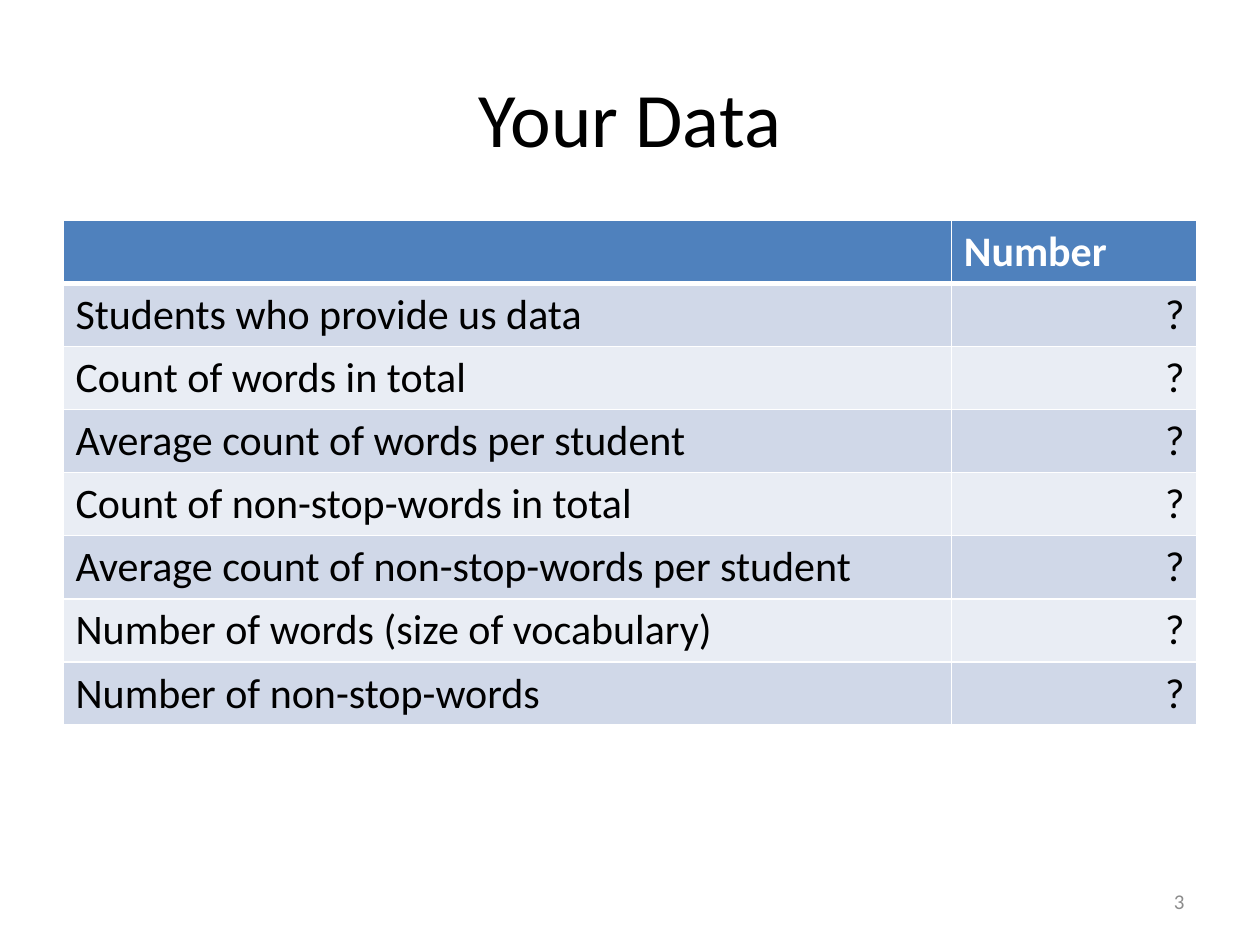
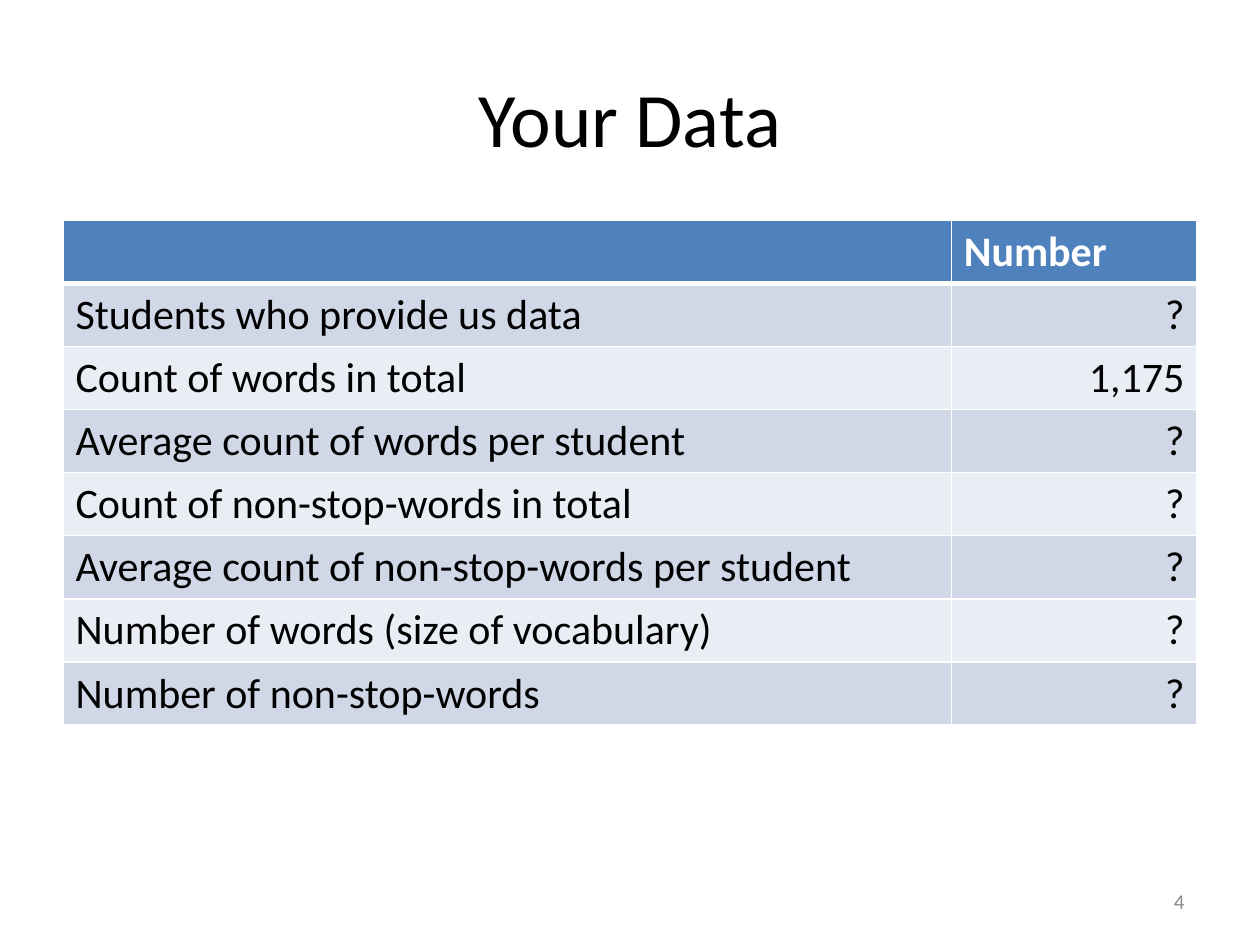
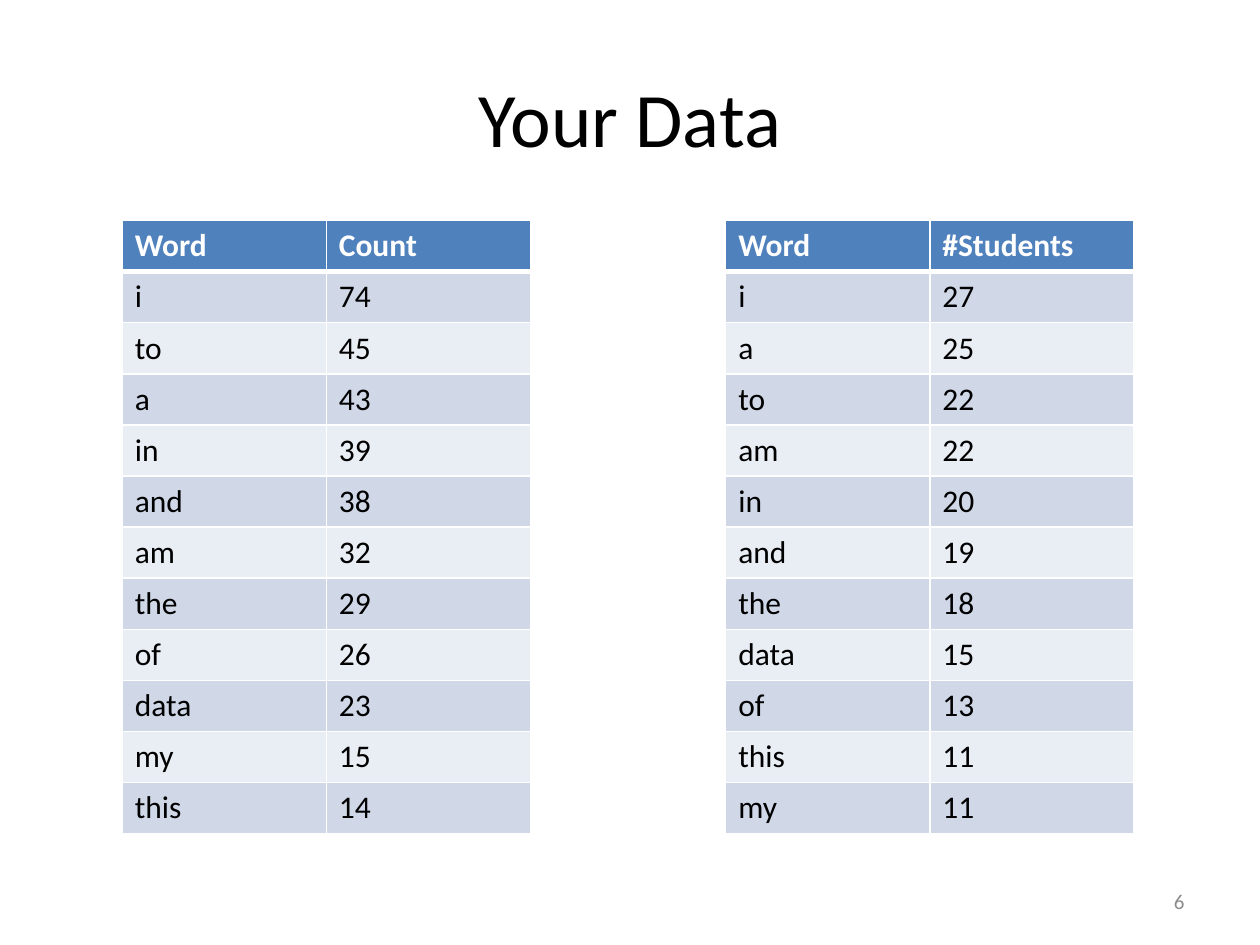
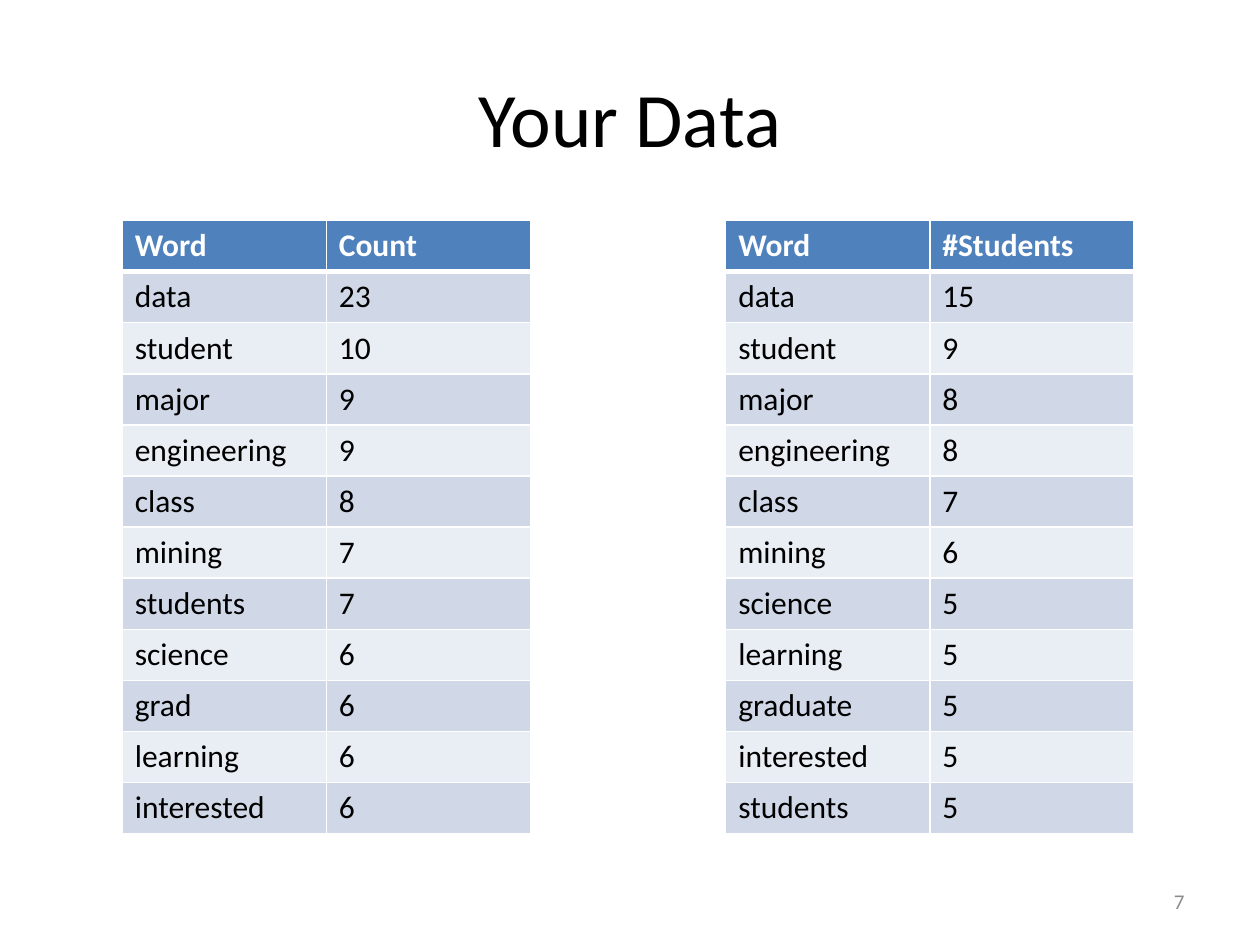
from lxml.etree import SubElement
from pptx import Presentation
from pptx.dml.color import RGBColor
from pptx.enum.text import MSO_ANCHOR, PP_ALIGN
from pptx.oxml.ns import qn
from pptx.util import Inches, Pt

FONT = "Calibri"
BLACK = RGBColor(0x00, 0x00, 0x00)
WHITE = RGBColor(0xFF, 0xFF, 0xFF)
GRAY = RGBColor(0x8C, 0x8C, 0x8C)
BLUE = RGBColor(0x4F, 0x81, 0xBD)
BANDS = (RGBColor(0xE9, 0xED, 0xF4), RGBColor(0xD0, 0xD8, 0xE8))

TITLE_BOX = (0.5, 0.3, 9, 1.25)
PAGE_BOX = (7.17, 6.95, 2.33, 0.4)
STATS_BOX = (0.5, 1.75, 9, 4)
COUNT_BOX = (0.97, 1.75, 3.24, 4.87)
USERS_BOX = (5.76, 1.75, 3.24, 4.87)

STATS = [
    "Students who provide us data",
    "Count of words in total",
    "Average count of words per student",
    "Count of non-stop-words in total",
    "Average count of non-stop-words per student",
    "Number of words (size of vocabulary)",
    "Number of non-stop-words",
]
ALL_COUNT = [("i", 74), ("to", 45), ("a", 43), ("in", 39), ("and", 38), ("am", 32),
             ("the", 29), ("of", 26), ("data", 23), ("my", 15), ("this", 14)]
ALL_USERS = [("i", 27), ("a", 25), ("to", 22), ("am", 22), ("in", 20), ("and", 19),
             ("the", 18), ("data", 15), ("of", 13), ("this", 11), ("my", 11)]
KEY_COUNT = [("data", 23), ("student", 10), ("major", 9), ("engineering", 9),
             ("class", 8), ("mining", 7), ("students", 7), ("science", 6),
             ("grad", 6), ("learning", 6), ("interested", 6)]
KEY_USERS = [("data", 15), ("student", 9), ("major", 8), ("engineering", 8),
             ("class", 7), ("mining", 6), ("science", 5), ("learning", 5),
             ("graduate", 5), ("interested", 5), ("students", 5)]


def write(frame, text, size=18, color=BLACK, bold=False, align=PP_ALIGN.LEFT):
    para = frame.paragraphs[0]
    para.alignment = align
    run = para.add_run()
    run.text = text
    font = run.font
    font.name, font.size, font.bold = FONT, Pt(size), bold
    font.color.rgb = color


def rule_cell(cell, top, bottom):
    """Draw white borders round a cell; top and bottom are widths in points."""
    props = cell._tc.get_or_add_tcPr()
    for side, width in (("L", 1), ("R", 1), ("T", top), ("B", bottom)):
        line = SubElement(props, qn(f"a:ln{side}"), w=str(Pt(width)))
        fill = SubElement(line, qn("a:solidFill"))
        SubElement(fill, qn("a:srgbClr"), val=str(WHITE))


def add_grid(slide, box, rows, widths, size, align=PP_ALIGN.LEFT):
    """Add a banded table; align applies to the last column below the header."""
    shape = slide.shapes.add_table(len(rows), len(widths), *map(Inches, box))
    table = shape.table
    for col, width in zip(table.columns, widths):
        col.width = Inches(width)
    for r, row in enumerate(rows):
        head = r == 0
        for c, value in enumerate(row):
            cell = table.cell(r, c)
            rule_cell(cell, top=3 if r == 1 else 1, bottom=3 if head else 1)
            cell.fill.solid()
            cell.fill.fore_color.rgb = BLUE if head else BANDS[r % 2]
            if value != "":
                last = c == len(row) - 1 and not head
                write(cell.text_frame, str(value), size=size, bold=head,
                      color=WHITE if head else BLACK,
                      align=align if last else PP_ALIGN.LEFT)


def add_page(deck, number):
    """Add a slide with the shared title and page number."""
    slide = deck.slides.add_slide(deck.slide_layouts[5])
    title = slide.shapes.title
    title.left, title.top, title.width, title.height = map(Inches, TITLE_BOX)
    title.text_frame.vertical_anchor = MSO_ANCHOR.MIDDLE
    write(title.text_frame, "Your Data", size=44, align=PP_ALIGN.CENTER)
    frame = slide.shapes.add_textbox(*map(Inches, PAGE_BOX)).text_frame
    frame.word_wrap = True
    frame.vertical_anchor = MSO_ANCHOR.MIDDLE
    write(frame, str(number), size=12, color=GRAY, align=PP_ALIGN.RIGHT)
    return slide


def add_stats(deck, number, known):
    """Add the summary slide; known maps a label to its value."""
    slide = add_page(deck, number)
    rows = [("", "Number")] + [(label, known.get(label, "?")) for label in STATS]
    add_grid(slide, STATS_BOX, rows, (7.05, 1.95), 24, align=PP_ALIGN.RIGHT)


def add_words(deck, number, counts, users):
    """Add a slide with two word rankings side by side."""
    slide = add_page(deck, number)
    for box, head, data in ((COUNT_BOX, "Count", counts), (USERS_BOX, "#Students", users)):
        add_grid(slide, box, [("Word", head)] + data, (1.62, 1.62), 18)


def main():
    deck = Presentation()
    deck.slide_width, deck.slide_height = Inches(10), Inches(7.5)
    add_stats(deck, 3, {})
    add_stats(deck, 4, {"Count of words in total": "1,175"})
    add_words(deck, 6, ALL_COUNT, ALL_USERS)
    add_words(deck, 7, KEY_COUNT, KEY_USERS)
    deck.save("out.pptx")


if __name__ == "__main__":
    main()
